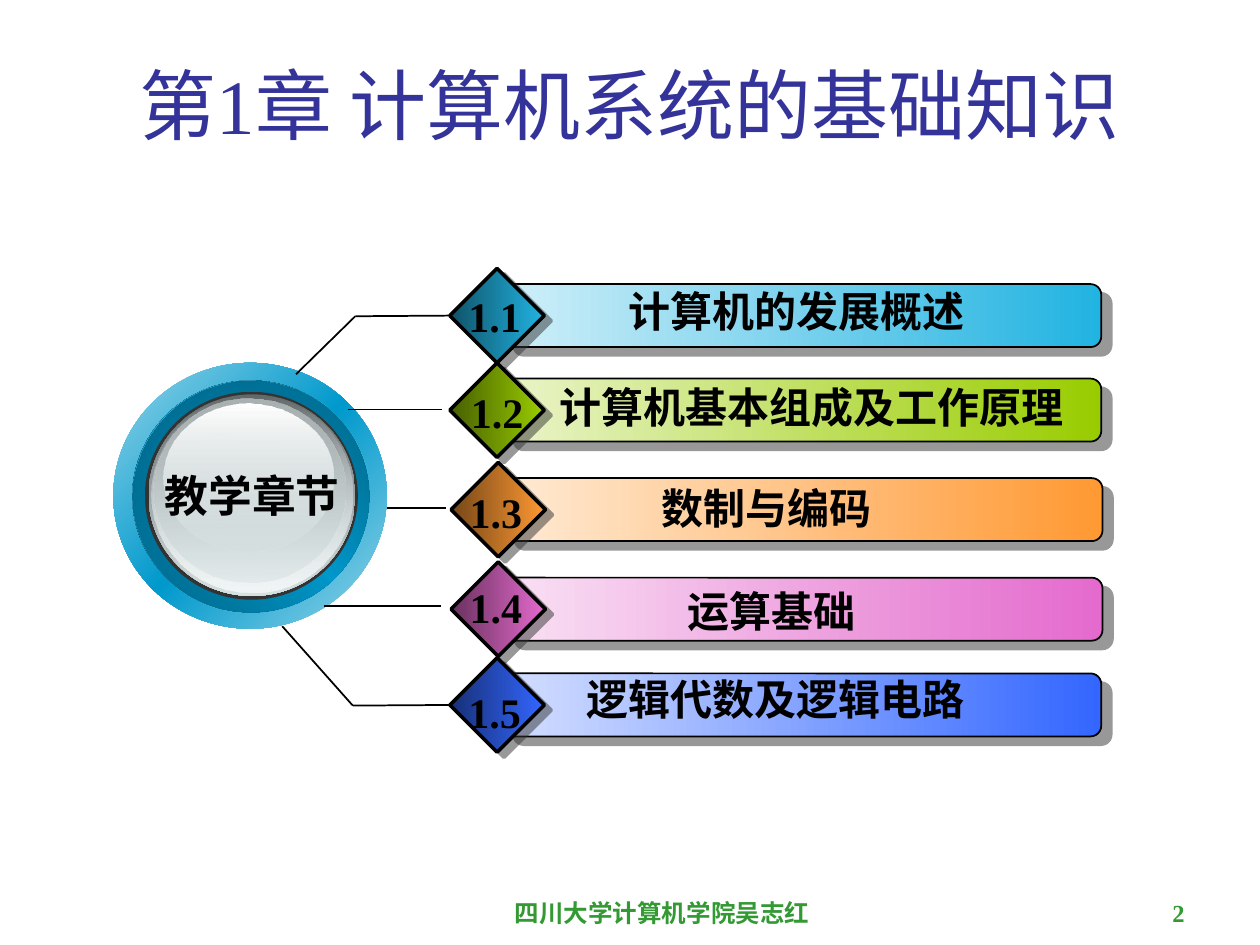
from dataclasses import dataclass

from lxml import etree
from pptx import Presentation
from pptx.dml.color import RGBColor
from pptx.enum.shapes import MSO_CONNECTOR, MSO_SHAPE
from pptx.enum.text import MSO_ANCHOR, MSO_AUTO_SIZE, PP_ALIGN
from pptx.oxml.ns import qn
from pptx.util import Inches, Pt

OVAL, BAR, DIAMOND = MSO_SHAPE.OVAL, MSO_SHAPE.ROUNDED_RECTANGLE, MSO_SHAPE.DIAMOND
STRAIGHT = MSO_CONNECTOR.STRAIGHT
CENTER, RIGHT = PP_ALIGN.CENTER, PP_ALIGN.RIGHT
MIDDLE, BOTTOM = MSO_ANCHOR.MIDDLE, MSO_ANCHOR.BOTTOM
FIT = MSO_AUTO_SIZE.SHAPE_TO_FIT_TEXT
LEFT_SIDE = 1

# The slide is a grid of 10 columns by 7.5 rows; all lengths count its cells
COLUMNS, ROWS = 10, 7.5
CELL = Inches(1)


@dataclass(frozen=True)
class Theme:
    serif: str = "Times New Roman"
    sans: str = "Arial"
    chinese: str = "Noto Sans CJK SC"
    title: str = "333399"
    footer: str = "339933"
    ink: str = "000000"
    shadow: str = "333333"
    title_size: int = 44
    hub_size: int = 25
    section_size: int = 24
    footer_size: int = 14


THEME = Theme()

# Narrow labels use the full width of their box, so that they stay on one line
NARROW = {"word_wrap": True, "margin_left": 0, "margin_right": 0}

# Rings of the hub, back to front: box, gradient stops (position, colour, alpha), angle
HUB_RINGS = [
    ((0.9, 2.88, 2.17, 2.11), [(0, "93D4E9", 100), (50, "0099CC", 100), (100, "93D4E9", 100)], 45),
    ((1.05, 3.02, 1.88, 1.84), [(0, "00536E", 100), (50, "0099CC", 100), (100, "00536E", 100)], 315),
    ((1.05, 3.02, 1.88, 1.84), [(0, "006182", 100), (100, "0099CC", 0)], 45),
    ((1.15, 3.11, 1.69, 1.65), [(0, "333333", 100), (100, "333333", 100)], 0),
    ((1.18, 3.13, 1.64, 1.6), [(0, "636869", 100), (100, "D6E1E2", 100)], 90),
    ((1.2, 3.14, 1.6, 1.56), [(0, "D6E1E2", 0), (100, "F1F5F5", 100)], 90),
    ((1.22, 3.16, 1.52, 1.46), [(0, "AAB2B3", 100), (100, "D6E1E2", 48)], 90),
    ((1.3, 3.2, 1.35, 1.18), [(0, "FFFFFF", 100), (100, "D6E1E2", 38)], 90),
]

# number, name, colour, diamond corner, name box (left, top, width), number corner
SECTIONS = [
    ("1.1", "计算机的发展概述", "21B3E1", (3.57, 2.13), (4.45, 2.22, 3.75), (3.62, 2.26)),
    ("1.2", "计算机基本组成及工作原理", "99CC00", (3.57, 2.88), (3.94, 2.98, 5), (3.64, 3.02)),
    ("1.3", "数制与编码", "FF9933", (3.58, 3.67), (4.21, 3.78, 3.75), (3.63, 3.81)),
    ("1.4", "运算基础", "E46ACD", (3.58, 4.46), (4.25, 4.6, 3.75), (3.63, 4.57)),
    ("1.5", "逻辑代数及逻辑电路", "3366FF", (3.57, 5.22), (4.28, 5.3, 3.75), (3.62, 5.4)),
]
DIAMOND_SIDE = 0.75
BAR_WIDTH, BAR_HEIGHT, BAR_INDENT = 4.75, 0.5, 0.42

# Points from hub to section; the first and last leaders are joined to their diamonds
LEADERS = [
    [(2.35, 2.97), (2.82, 2.51), (3.57, 2.51)],
    [(2.76, 3.25), (3.51, 3.25)],
    [(3.07, 4.03), (3.54, 4.03)],
    [(2.57, 4.81), (3.5, 4.81)],
    [(2.24, 4.97), (2.8, 5.6), (3.57, 5.6)],
]
JOINED = (0, 4)


def cells(*counts):
    return [round(count * CELL) for count in counts]


def rgb(colour):
    return RGBColor.from_string(colour)


def blend(colour, target, share):
    """Move each channel of colour towards target, keeping the given share of it."""
    return "".join(f"{round(target + (channel - target) * share):02X}" for channel in rgb(colour))


def add_colour(parent, colour, alpha):
    node = etree.SubElement(parent, qn("a:srgbClr"), val=colour)
    if alpha < 100:
        etree.SubElement(node, qn("a:alpha"), val=str(alpha * 1000))


def fill_gradient(shape, stops, angle=0):
    shape.fill.gradient()
    gradient = shape._element.spPr.find(qn("a:gradFill"))
    stop_list = gradient.find(qn("a:gsLst"))
    stop_list.clear()
    for position, colour, alpha in stops:
        stop = etree.SubElement(stop_list, qn("a:gs"), pos=str(position * 1000))
        add_colour(stop, colour, alpha)
    gradient.find(qn("a:lin")).set("ang", str(angle * 60000))


def add_shape(slide, kind, box, stops, angle=0, line=0, shadow=None):
    shape = slide.shapes.add_shape(kind, *cells(*box))
    fill_gradient(shape, stops, angle)
    if line:
        shape.line.color.rgb = rgb(THEME.ink)
        shape.line.width = Pt(line)
    else:
        shape.line.fill.background()
    shape.shadow.inherit = False
    if shadow:
        distance, direction = shadow
        effects = shape._element.spPr.find(qn("a:effectLst"))
        cast = etree.SubElement(effects, qn("a:outerShdw"), blurRad="0", dist=str(Pt(distance)),
                                dir=str(direction * 60000), algn="ctr", rotWithShape="0")
        add_colour(cast, THEME.shadow, 50)
    return shape


def write(frame, text, size, colour, font, bold=True, align=CENTER, **frame_format):
    for name, value in frame_format.items():
        setattr(frame, name, value)
    paragraph = frame.paragraphs[0]
    paragraph.alignment = align
    run = paragraph.add_run()
    run.text = text
    for name, value in {"size": Pt(size), "name": font, "bold": bold}.items():
        setattr(run.font, name, value)
    run.font.color.rgb = rgb(colour)
    etree.SubElement(run._r.get_or_add_rPr(), qn("a:ea"), typeface=THEME.chinese)


def add_label(slide, box, *text_format, **options):
    label = slide.shapes.add_textbox(*cells(*box))
    write(label.text_frame, *text_format, **options)


def add_title(slide, text):
    title = slide.shapes.title
    title.left, title.top, title.width, title.height = cells(0.74, 0.2, 8.52, 1.25)
    write(title.text_frame, text, THEME.title_size, THEME.title, THEME.serif,
          bold=False, vertical_anchor=MIDDLE)


def add_hub(slide, text):
    for box, stops, angle in HUB_RINGS:
        add_shape(slide, OVAL, box, stops, angle)
    add_label(slide, (1.21, 3.67, 1.58, 0.52), text, THEME.hub_size, THEME.ink, THEME.sans,
              **NARROW)


def add_section(slide, number, name, colour, corner, name_box, number_corner):
    left, top = corner
    bar_box = (left + BAR_INDENT, top + (DIAMOND_SIDE - BAR_HEIGHT) / 2, BAR_WIDTH, BAR_HEIGHT)
    light, dark = blend(colour, 255, 0.21), blend(colour, 0, 0.46)
    bar = add_shape(slide, BAR, bar_box, [(0, light, 100), (100, colour, 100)],
                    line=1, shadow=(7.8, 40))
    bar.adjustments[0] = 0.17
    diamond = add_shape(slide, DIAMOND, (left, top, DIAMOND_SIDE, DIAMOND_SIDE),
                        [(0, dark, 100), (100, colour, 100)], line=2, shadow=(5, 37))
    add_label(slide, (*name_box, BAR_HEIGHT), name, THEME.section_size, THEME.ink,
              THEME.chinese, word_wrap=True, auto_size=FIT)
    add_label(slide, (*number_corner, 0.61, 0.5), number, THEME.section_size, THEME.ink,
              THEME.serif, **NARROW)
    return diamond


def add_leader(slide, points, diamond=None):
    for start, end in zip(points, points[1:]):
        leader = slide.shapes.add_connector(STRAIGHT, *cells(*start, *end))
        leader.line.color.rgb = rgb(THEME.ink)
        leader.line.width = Pt(1)
        etree.SubElement(leader._element.spPr, qn("a:effectLst"))
    if diamond is not None:
        leader.end_connect(diamond, LEFT_SIDE)


def main():
    deck = Presentation()
    deck.slide_width, deck.slide_height = cells(COLUMNS, ROWS)
    slide = deck.slides.add_slide(deck.slide_layouts[5])

    add_title(slide, "第1章 计算机系统的基础知识")
    add_hub(slide, "教学章节")

    # Sections and the leaders that tie them to the hub
    diamonds = [add_section(slide, *section) for section in SECTIONS]
    for index, points in enumerate(LEADERS):
        add_leader(slide, points, diamonds[index] if index in JOINED else None)

    # Footer and page number
    for left, width, text, align in [(3.67, 3.17, "四川大学计算机学院吴志红", CENTER),
                                     (7.5, 2, "2", RIGHT)]:
        add_label(slide, (left, 7.08, width, 0.33), text, THEME.footer_size, THEME.footer,
                  THEME.serif, align=align, word_wrap=True, vertical_anchor=BOTTOM)

    deck.save("out.pptx")


if __name__ == "__main__":
    main()
